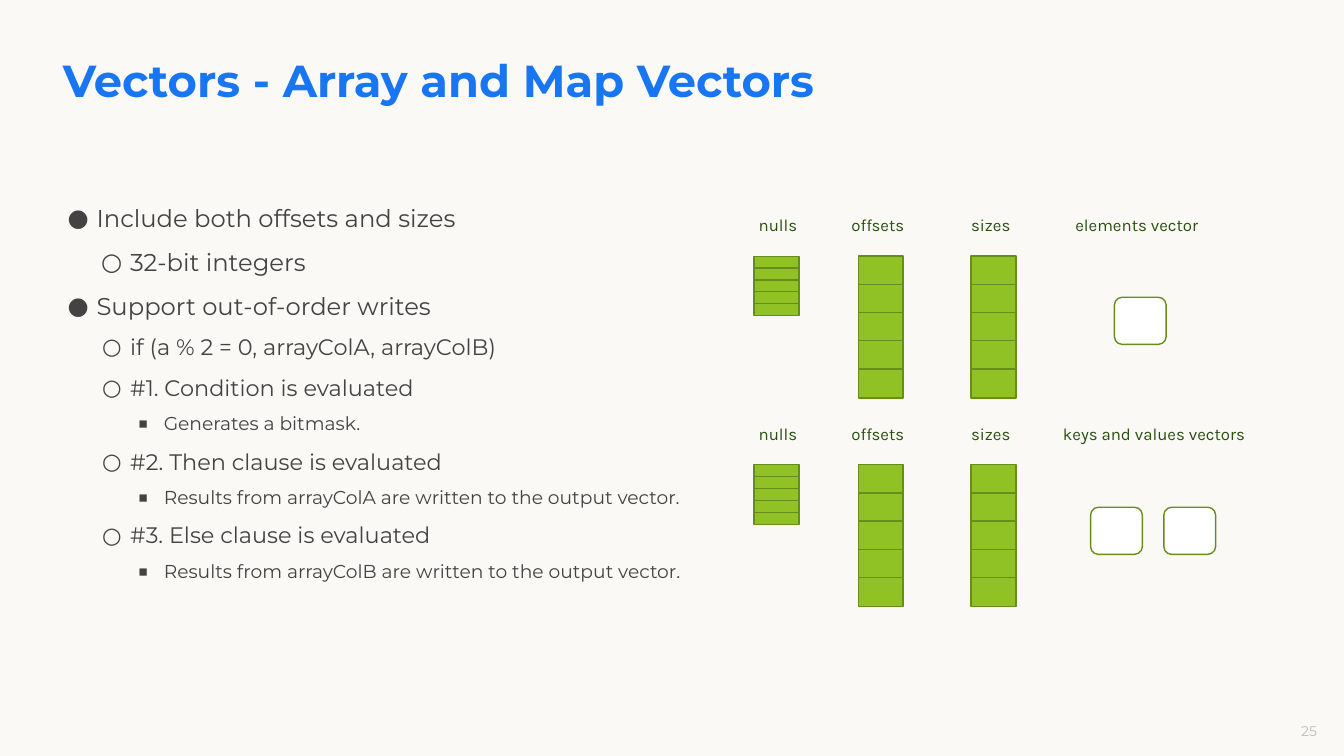
from dataclasses import dataclass
from typing import Any

from lxml.etree import SubElement
from pptx import Presentation
from pptx.dml.color import RGBColor
from pptx.enum.shapes import MSO_SHAPE
from pptx.enum.text import MSO_ANCHOR, PP_ALIGN
from pptx.oxml.ns import qn
from pptx.util import Pt

BLUE, GREY, PALE = "1876F2", "434343", "BEBEBE"
GREEN, EDGE, DARK = "90C226", "698D1B", "2A5010"
WHITE, CREAM = "FFFFFF", "FBF9F6"


@dataclass
class Box:
    left: float
    top: float
    width: float
    height: float


@dataclass
class Style:
    font: str
    size: float
    tint: str
    bold: bool = False


@dataclass
class Point:
    text: str
    level: int
    size: int


@dataclass
class Stack:
    name: str
    left: float
    height: float
    step: float


@dataclass
class Group:
    top: float
    name: str
    middle: float
    tiles: list[float]
    drop: float


LABEL = Style("Karla", 18, DARK)
DENTS = {26: 31, 24: 30, 20: 28}
MARKS = "●○■"
CELL = 48
CELLS = 5

POINTS = [
    Point("Include both offsets and sizes", 0, 26),
    Point("32-bit integers", 1, 26),
    Point("Support out-of-order writes", 0, 26),
    Point("if (a % 2 = 0, arrayColA, arrayColB)", 1, 24),
    Point("#1. Condition is evaluated", 1, 24),
    Point("Generates a bitmask.", 2, 20),
    Point("#2. Then clause is evaluated", 1, 24),
    Point("Results from arrayColA are written to the output vector.", 2, 20),
    Point("#3. Else clause is evaluated", 1, 24),
    Point("Results from arrayColB are written to the output vector.", 2, 20),
]
STACKS = [
    Stack("nulls", 808, 13, 12.7),
    Stack("offsets", 919.5, 31, 30.2),
    Stack("sizes", 1040.5, 31, 30.2),
]
GROUPS = [
    Group(274.5, "elements vector", 1218, [1194], 44),
    Group(498, "keys and values vectors", 1236.5, [1168.5, 1247], 45.5),
]


def tint(code: str) -> RGBColor:
    return RGBColor.from_string(code)


def assign(item: Any, values: dict[str, Any]) -> None:
    for key, value in values.items():
        setattr(item, key, value)


def place(box: Box) -> list[int]:
    return [Pt(n) for n in (box.left, box.top, box.width, box.height)]


def add_frame(slide: Any, box: Box, side: float = 0, edge: float = 0) -> Any:
    frame = slide.shapes.add_textbox(*place(box)).text_frame
    assign(frame, {
        "word_wrap": True,
        "margin_left": Pt(side), "margin_right": Pt(side),
        "margin_top": Pt(edge), "margin_bottom": Pt(edge),
    })
    return frame


def write(para: Any, text: str, style: Style, **form: Any) -> None:
    assign(para, form)
    run = para.add_run()
    run.text = text
    assign(run.font, {"name": style.font, "size": Pt(style.size), "bold": style.bold})
    run.font.color.rgb = tint(style.tint)


def add_mark(para: Any, point: Point) -> None:
    props = para._p.get_or_add_pPr()
    props.set("marL", str(Pt(36 * (point.level + 1))))
    props.set("indent", str(-Pt(DENTS[point.size])))
    paint = SubElement(props, qn("a:buClr"))
    SubElement(paint, qn("a:srgbClr"), val=GREY)
    SubElement(props, qn("a:buFont"), typeface="Montserrat")
    SubElement(props, qn("a:buChar"), char=MARKS[point.level])


def add_list(slide: Any, box: Box) -> None:
    frame = add_frame(slide, box)
    for spot, point in enumerate(POINTS):
        para = frame.add_paragraph() if spot else frame.paragraphs[0]
        write(para, point.text, Style("Montserrat", point.size, GREY),
              level=point.level, line_spacing=1.5,
              space_before=Pt(0 if spot else 11))
        add_mark(para, point)


def add_block(slide: Any, kind: MSO_SHAPE, box: Box, fill: str) -> None:
    shape = slide.shapes.add_shape(kind, *place(box))
    shape.shadow.inherit = False
    shape.fill.solid()
    shape.fill.fore_color.rgb = tint(fill)
    shape.line.color.rgb = tint(EDGE)
    shape.line.width = Pt(1.5)


def add_label(slide: Any, text: str, middle: float, top: float) -> None:
    width = 236
    frame = add_frame(slide, Box(middle - width / 2, top, width, 29), 7.2, 3.6)
    write(frame.paragraphs[0], text, LABEL, alignment=PP_ALIGN.CENTER)


def add_group(slide: Any, group: Group) -> None:
    head = group.top - 47.5
    for stack in STACKS:
        for row in range(CELLS):
            box = Box(stack.left, group.top + row * stack.step, CELL, stack.height)
            add_block(slide, MSO_SHAPE.RECTANGLE, box, GREEN)
        shift = 1.5 if stack.name == "nulls" else -3
        add_label(slide, stack.name, stack.left + CELL / 2 + shift, head)
    for left in group.tiles:
        box = Box(left, group.top + group.drop, 55.5, 50.5)
        add_block(slide, MSO_SHAPE.ROUNDED_RECTANGLE, box, WHITE)
    add_label(slide, group.name, group.middle, head)


def main() -> None:
    deck = Presentation()
    assign(deck, {"slide_width": Pt(1440), "slide_height": Pt(810)})
    slide = deck.slides.add_slide(deck.slide_layouts[6])
    back = slide.background.fill
    back.solid()
    back.fore_color.rgb = tint(CREAM)

    title = add_frame(slide, Box(67.5, 67.5, 1305, 108))
    write(title.paragraphs[0], "Vectors - Array and Map Vectors",
          Style("Montserrat", 48, BLUE, True), line_spacing=0.8)
    add_list(slide, Box(67.5, 202.5, 1305, 472.5))
    page = add_frame(slide, Box(1357, 765, 57, 30), 3, 3)
    page.vertical_anchor = MSO_ANCHOR.BOTTOM
    write(page.paragraphs[0], "25", Style("Montserrat", 15, PALE),
          alignment=PP_ALIGN.RIGHT)
    for group in GROUPS:
        add_group(slide, group)
    deck.save("out.pptx")


if __name__ == "__main__":
    main()
